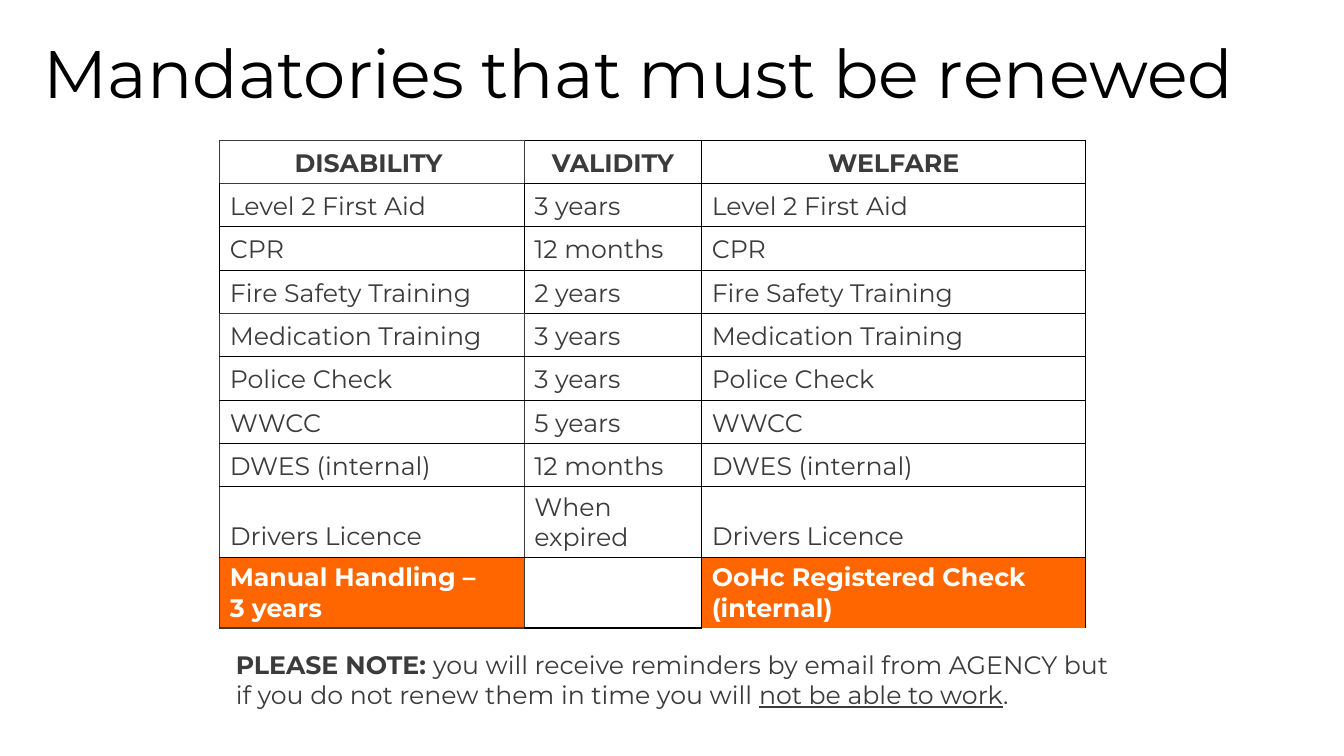
from lxml import etree
from pptx import Presentation
from pptx.dml.color import RGBColor
from pptx.enum.text import MSO_ANCHOR, MSO_AUTO_SIZE, PP_ALIGN
from pptx.oxml.ns import qn
from pptx.util import Emu, Pt

LEFT, CENTER = PP_ALIGN.LEFT, PP_ALIGN.CENTER
MIDDLE, BOTTOM = MSO_ANCHOR.MIDDLE, MSO_ANCHOR.BOTTOM
NO_AUTOFIT, GROW = MSO_AUTO_SIZE.NONE, MSO_AUTO_SIZE.SHAPE_TO_FIT_TEXT

BLACK = RGBColor(0x00, 0x00, 0x00)
GREY = RGBColor(0x3B, 0x3B, 0x3B)
WHITE = RGBColor(0xFF, 0xFF, 0xFF)
ORANGE = RGBColor(0xFF, 0x66, 0x00)
FONT = "Montserrat"
EMU_PER_PX = 9144  # 100 px to the inch

COLUMN_WIDTHS = [302, 176, 381]
ROW_HEIGHT, LAST_ROW_HEIGHT = 43, 69
HEADINGS = ["DISABILITY ", "VALIDITY", "WELFARE"]
SHARED_CHECKS = [
    ("Level 2 First Aid", "3 years"),
    ("CPR", "12 months"),
    ("Fire Safety Training", "2 years"),
    ("Medication Training", "3 years"),
    ("Police Check", "3 years"),
    ("WWCC", "5 years"),
    ("DWES (internal)", "12 months"),
    ("Drivers Licence", "When expired"),
]
SEPARATE_CHECKS = ["Manual Handling –\n3 years", "", "OoHc Registered Check (internal)"]
ROWS = [HEADINGS, *([check, term, check] for check, term in SHARED_CHECKS), SEPARATE_CHECKS]
LAST = len(ROWS) - 1
GREY_RULES = (0, 1, 4, LAST + 1)  # horizontal rules, first column only

NOTE = [  # text, bold, underline
    ("PLEASE NOTE: ", True, False),
    ("you will receive reminders by email from AGENCY but if you do not renew them "
     "in time you will ", False, False),
    ("not be able to work", False, True),
    (".", False, False),
]


def px(n):
    return Emu(n * EMU_PER_PX)


def set_font(font, size, color, bold=False):
    font.name, font.size, font.bold = FONT, Pt(size), bold
    font.color.rgb = color


def add_title(slide, x, y, w, h):
    sp = slide.shapes.title
    sp.left, sp.top, sp.width, sp.height = map(px, (x, y, w, h))
    tf = sp.text_frame
    tf.text = "Mandatories that must be renewed"
    tf.auto_size, tf.vertical_anchor, tf.word_wrap = NO_AUTOFIT, MIDDLE, True
    p = tf.paragraphs[0]
    p.alignment = LEFT
    set_font(p.font, 48, BLACK)


def add_border(cell, side, color):
    """Draw one side (L, R, T or B) of a cell; a color of None leaves it open."""
    ln = etree.SubElement(cell._tc.get_or_add_tcPr(), qn(f"a:ln{side}"), w=str(Pt(1)))
    if color is None:
        etree.SubElement(ln, qn("a:noFill"))
    else:
        fill = etree.SubElement(ln, qn("a:solidFill"))
        etree.SubElement(fill, qn("a:srgbClr"), val=str(color))


def add_borders(cell, row, col):
    def upright(edge):
        return GREY if edge < 2 and (row == 0 or row >= 4) else BLACK

    def rule(edge):
        return GREY if col == 0 and edge in GREY_RULES else BLACK

    open_bottom = row == LAST and col == 2
    add_border(cell, "L", upright(col))
    add_border(cell, "R", upright(col + 1))
    add_border(cell, "T", rule(row))
    add_border(cell, "B", None if open_bottom else rule(row + 1))


def fill_cell(cell, row, col, text):
    highlighted = row == LAST and text != ""
    add_borders(cell, row, col)
    if highlighted:
        cell.fill.solid()
        cell.fill.fore_color.rgb = ORANGE
    else:
        cell.fill.background()
    cell.text = text
    cell.vertical_anchor = MIDDLE if row == LAST and col == 2 else BOTTOM
    for p in cell.text_frame.paragraphs:
        p.alignment = CENTER if row == 0 else LEFT
        set_font(p.font, 18, WHITE if highlighted else GREY, row in (0, LAST))


def add_renewal_table(slide, x, y):
    heights = [ROW_HEIGHT] * LAST + [LAST_ROW_HEIGHT]
    frame = slide.shapes.add_table(len(ROWS), len(COLUMN_WIDTHS), px(x), px(y),
                                   px(sum(COLUMN_WIDTHS)), px(sum(heights)))
    table = frame.table
    table.first_row = table.horz_banding = False
    for column, width in zip(table.columns, COLUMN_WIDTHS):
        column.width = px(width)
    for row, (texts, height) in enumerate(zip(ROWS, heights)):
        table.rows[row].height = px(height)
        for col, text in enumerate(texts):
            fill_cell(table.cell(row, col), row, col, text)


def add_note(slide, x, y, w, h):
    tf = slide.shapes.add_textbox(*map(px, (x, y, w, h))).text_frame
    tf.word_wrap, tf.auto_size = True, GROW
    p = tf.paragraphs[0]
    for text, bold, underline in NOTE:
        r = p.add_run()
        r.text = text
        set_font(r.font, 18, GREY, bold)
        r.font.underline = underline


def main():
    prs = Presentation()
    prs.slide_width, prs.slide_height = px(1333), px(750)
    slide = prs.slides.add_slide(prs.slide_layouts[5])
    add_title(slide, 33, 21, 1268, 101)
    add_note(slide, 224, 639, 886, 70)
    add_renewal_table(slide, 218, 139)
    prs.save("out.pptx")


if __name__ == "__main__":
    main()
